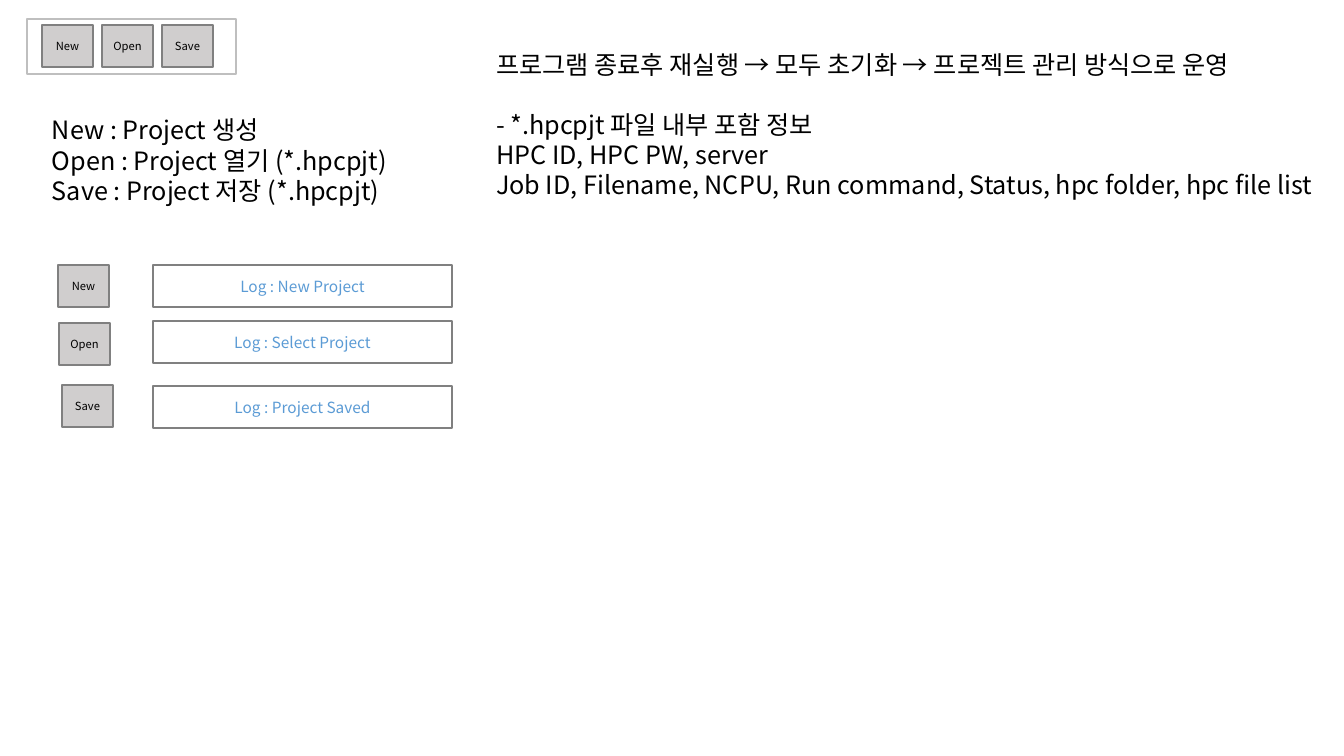
from pptx import Presentation
from pptx.dml.color import RGBColor
from pptx.enum.shapes import MSO_SHAPE as Shape
from pptx.enum.text import MSO_ANCHOR as Anchor, PP_ALIGN as Align
from pptx.util import Emu, Inches, Pt

PIXEL = Inches(1) / 100.8
FONT = "Noto Sans CJK KR"
BLACK = RGBColor(0x00, 0x00, 0x00)
BUTTON_GRAY = RGBColor(0xD0, 0xCE, 0xCE)
BORDER_GRAY = RGBColor(0x80, 0x80, 0x80)
FRAME_GRAY = RGBColor(0xBF, 0xBF, 0xBF)
LOG_BLUE = RGBColor(0x5B, 0x9B, 0xD5)
BUTTON_SIZE = (51, 42)
LINE_PITCH = Pt(21.5)


def to_emu(box):
    return [Emu(round(pixels * PIXEL)) for pixels in box]


def add_run(paragraph, text, size, color):
    run = paragraph.add_run()
    run.text = text
    run.font.name = FONT
    run.font.size = Pt(size)
    run.font.color.rgb = color


def add_box(slide, box, border, fill=None, text="", size=11, color=BLACK):
    shape = slide.shapes.add_shape(Shape.RECTANGLE, *to_emu(box))
    shape.shadow.inherit = False
    if fill is None:
        shape.fill.background()
    else:
        shape.fill.solid()
        shape.fill.fore_color.rgb = fill
    shape.line.color.rgb = border
    shape.line.width = Pt(1)
    if text:
        frame = shape.text_frame
        frame.margin_left = frame.margin_right = 0
        frame.vertical_anchor = Anchor.MIDDLE
        frame.paragraphs[0].alignment = Align.CENTER
        add_run(frame.paragraphs[0], text, size, color)


def add_button(slide, left, top, label):
    add_box(slide, (left, top, *BUTTON_SIZE), BORDER_GRAY, BUTTON_GRAY, label, 8)


def add_toolbar(slide, box, labels):
    left, top, width, height = box
    for index, label in enumerate(labels):
        add_button(slide, left + 15 + 60 * index, top + 6, label)
    add_box(slide, box, FRAME_GRAY)


def add_notes_text(slide, box, groups):
    """Write groups of lines, with one line of space between groups."""
    frame = slide.shapes.add_textbox(*to_emu(box)).text_frame
    frame.word_wrap = True
    paragraph = None
    for group in groups:
        for index, line in enumerate(group):
            is_first = paragraph is None
            paragraph = frame.paragraphs[0] if is_first else frame.add_paragraph()
            paragraph.line_spacing = LINE_PITCH
            if index == 0 and not is_first:
                paragraph.space_before = LINE_PITCH
            add_run(paragraph, line, 18, BLACK)


def add_log_row(slide, box, button_offset, label, message):
    left, top, width, height = box
    button_left, button_top = button_offset
    add_button(slide, left + button_left, top + button_top, label)
    log_box = (left + 95, top, width - 95, height)
    add_box(slide, log_box, BORDER_GRAY, None, message, 11, LOG_BLUE)


presentation = Presentation()
presentation.slide_width = Inches(13.33)
presentation.slide_height = Inches(7.5)
slide = presentation.slides.add_slide(presentation.slide_layouts[6])

# Toolbar
add_toolbar(slide, (27, 19, 209, 55), ["New", "Open", "Save"])

# What each button does
add_notes_text(slide, (42, 110, 375, 102), [[
    "New : Project 생성",
    "Open : Project 열기 (*.hpcpjt)",
    "Save : Project 저장 (*.hpcpjt)",
]])

# Project file contents
add_notes_text(slide, (486, 44, 857, 163), [
    ["프로그램 종료후 재실행 → 모두 초기화 → 프로젝트 관리 방식으로 운영"],
    [
        "- *.hpcpjt 파일 내부 포함 정보",
        "HPC ID, HPC PW, server",
        "Job ID, Filename, NCPU, Run command, Status, hpc folder, hpc file list",
    ],
])

# Log message shown after each button
LOG_ROWS = [
    (265, (0, 0), "New", "Log : New Project"),
    (321, (1, 2), "Open", "Log : Select Project"),
    (386, (4, -1), "Save", "Log : Project Saved"),
]
for top, button_offset, label, message in LOG_ROWS:
    add_log_row(slide, (58, top, 394, 42), button_offset, label, message)

presentation.save("out.pptx")
